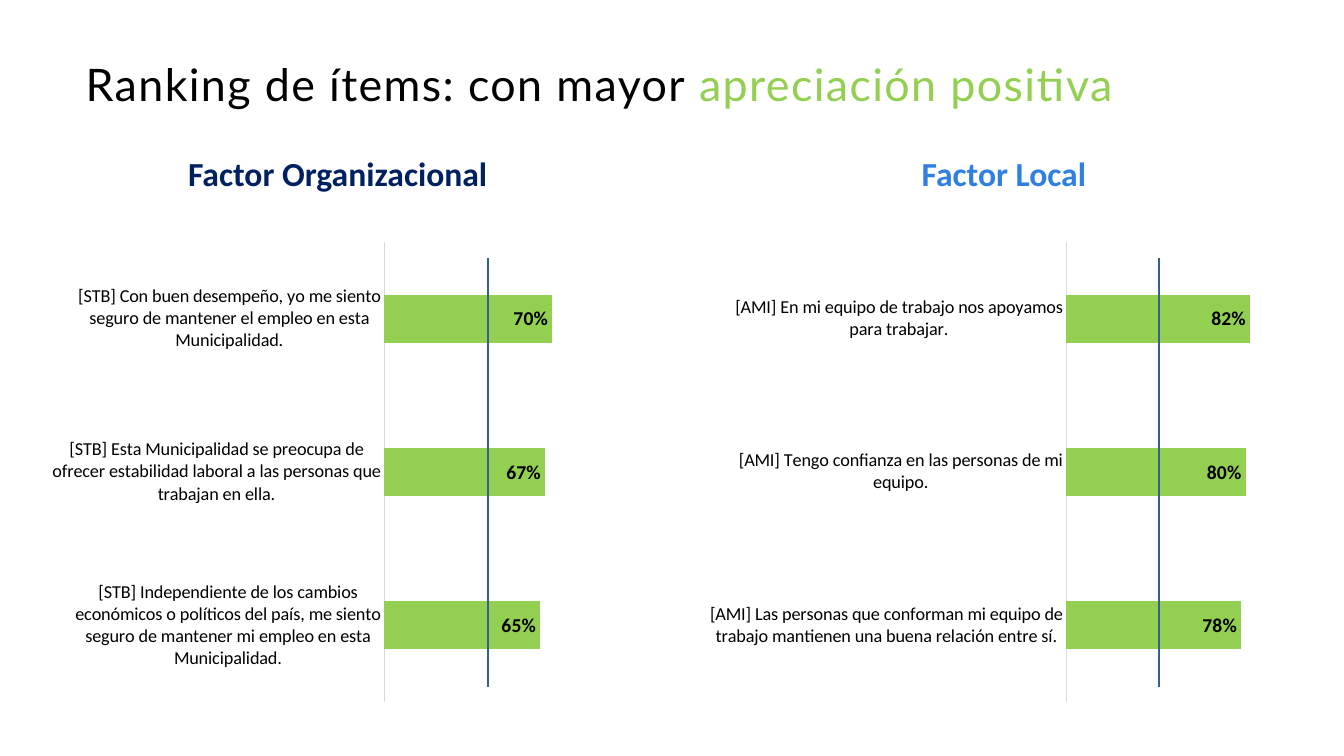
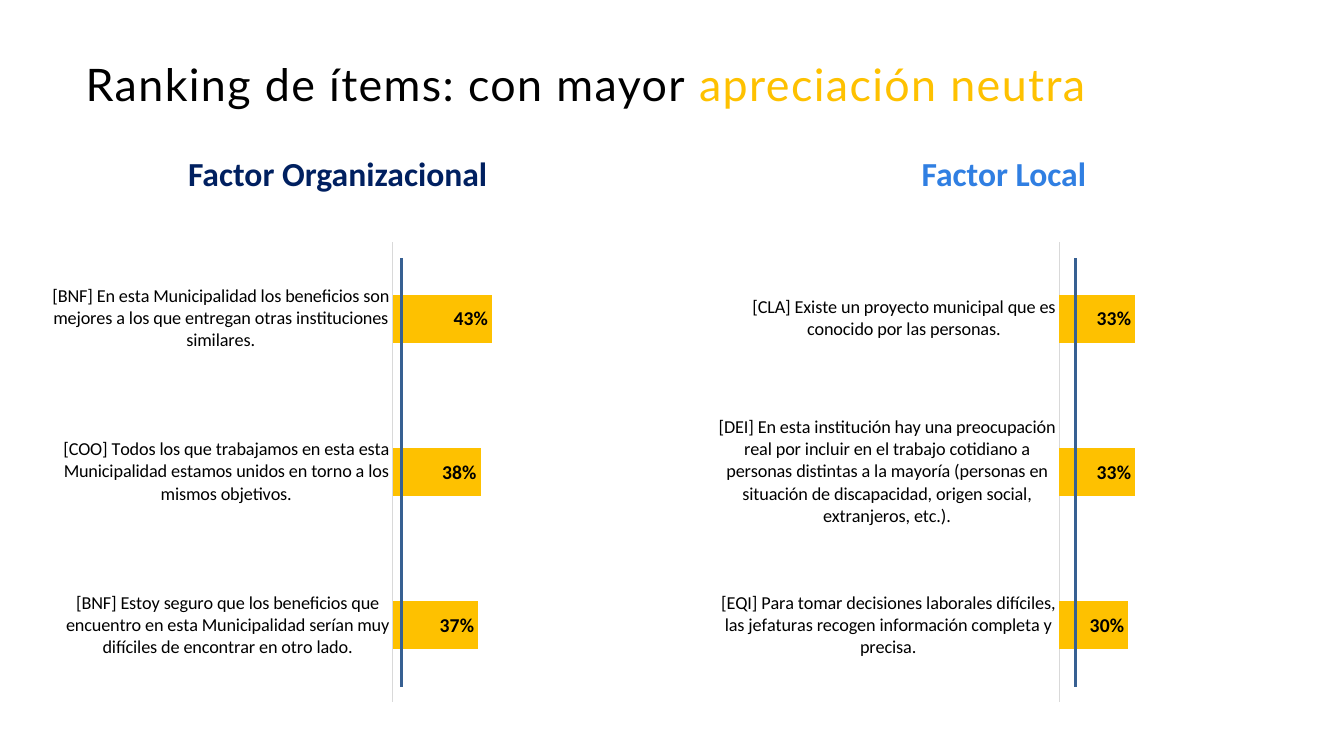
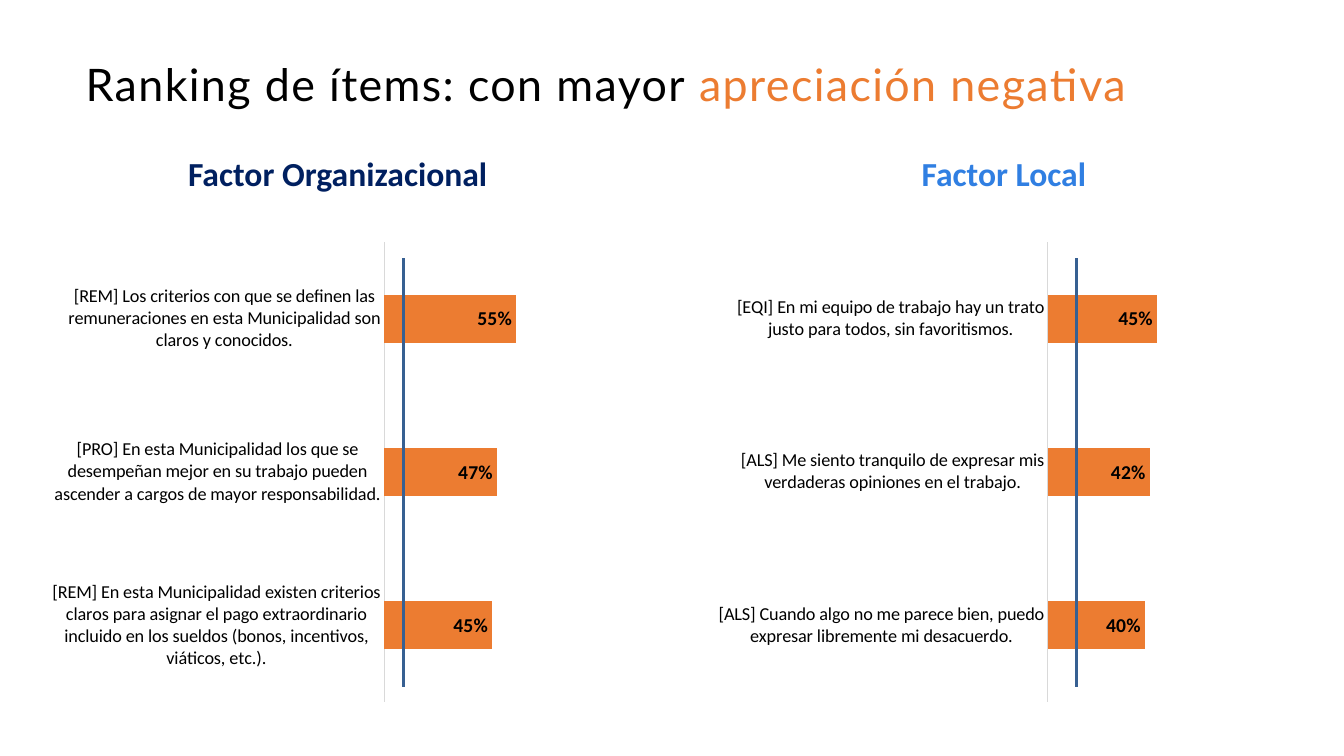
from lxml import etree
from pptx import Presentation
from pptx.chart.data import CategoryChartData
from pptx.dml.color import RGBColor
from pptx.enum.chart import XL_CHART_TYPE, XL_LABEL_POSITION, XL_TICK_MARK
from pptx.enum.shapes import MSO_CONNECTOR
from pptx.enum.text import MSO_ANCHOR, PP_ALIGN
from pptx.oxml.ns import qn
from pptx.util import Cm, Pt

BAR_CLUSTERED = XL_CHART_TYPE.BAR_CLUSTERED
INSIDE_END = XL_LABEL_POSITION.INSIDE_END
NO_TICK = XL_TICK_MARK.NONE
STRAIGHT = MSO_CONNECTOR.STRAIGHT
MIDDLE = MSO_ANCHOR.MIDDLE
CENTER = PP_ALIGN.CENTER

COLORS = {
    "text": "000000",
    "organizational": "002060",
    "local": "307FE2",
    "positive": "93D051",
    "neutral": "FEC100",
    "negative": "EC7C31",
    "axis": "D9D9D9",
    "reference": "376092",
}
TITLE_FONT = "Lato"
BODY_FONT = "Calibri"
TITLE_START = "Ranking de ítems: con mayor "

# Heading, colour and left edge of the two columns on every slide
COLUMNS = [
    ("Factor Organizacional", "organizational", 1.02),
    ("Factor Local", "local", 17.81),
]
COLUMN_TOP, COLUMN_WIDTH, COLUMN_HEIGHT = 4.01, 15.01, 13.92

# Per slide: title ending, colour, and for each column the offset of the
# reference line and the items from top to bottom
SLIDES = [
    ("apreciación positiva", "positive", [
        (11.28, [
            ("[STB] Con buen desempeño, yo me siento seguro de mantener el "
             "empleo en esta Municipalidad.", 0.70),
            ("[STB] Esta Municipalidad se preocupa de ofrecer estabilidad "
             "laboral a las personas que trabajan en ella.", 0.67),
            ("[STB] Independiente de los cambios económicos o políticos del "
             "país, me siento seguro de mantener mi empleo en esta "
             "Municipalidad.", 0.65),
        ]),
        (11.40, [
            ("[AMI] En mi equipo de trabajo nos apoyamos para trabajar.", 0.82),
            ("[AMI] Tengo confianza en las personas de mi equipo.", 0.80),
            ("[AMI] Las personas que conforman mi equipo de trabajo mantienen "
             "una buena relación entre sí.", 0.78),
        ]),
    ]),
    ("apreciación neutra", "neutral", [
        (9.09, [
            ("[BNF] En esta Municipalidad los beneficios son mejores a los que "
             "entregan otras instituciones similares.", 0.43),
            ("[COO] Todos los que trabajamos en esta esta Municipalidad estamos "
             "unidos en torno a los mismos objetivos.", 0.38),
            ("[BNF] Estoy seguro que los beneficios que encuentro en esta "
             "Municipalidad serían muy difíciles de encontrar en otro lado.",
             0.37),
        ]),
        (9.30, [
            ("[CLA] Existe un proyecto municipal que es conocido por las "
             "personas.", 0.33),
            ("[DEI] En esta institución hay una preocupación real por incluir "
             "en el trabajo cotidiano a personas distintas a la mayoría "
             "(personas en situación de discapacidad, origen social, "
             "extranjeros, etc.).", 0.33),
            ("[EQI] Para tomar decisiones laborales difíciles, las jefaturas "
             "recogen información completa y precisa.", 0.30),
        ]),
    ]),
    ("apreciación negativa", "negative", [
        (9.14, [
            ("[REM] Los criterios con que se definen las remuneraciones en esta "
             "Municipalidad son claros y conocidos.", 0.55),
            ("[PRO] En esta Municipalidad los que se desempeñan mejor en su "
             "trabajo pueden ascender a cargos de mayor responsabilidad.", 0.47),
            ("[REM] En esta Municipalidad existen criterios claros para asignar "
             "el pago extraordinario incluido en los sueldos (bonos, "
             "incentivos, viáticos, etc.).", 0.45),
        ]),
        (9.32, [
            ("[EQI] En mi equipo de trabajo hay un trato justo para todos, sin "
             "favoritismos.", 0.45),
            ("[ALS] Me siento tranquilo de expresar mis verdaderas opiniones en "
             "el trabajo.", 0.42),
            ("[ALS] Cuando algo no me parece bien, puedo expresar libremente mi "
             "desacuerdo.", 0.40),
        ]),
    ]),
]


def rgb(name):
    return RGBColor.from_string(COLORS[name])


def set_font(font, name, size, color=None, bold=False):
    font.name = name
    font.size = Pt(size)
    font.bold = bold
    if color:
        font.color.rgb = rgb(color)


def add_text_frame(slide, left, top, width, height):
    """Add a wrapping, vertically centred text box and return its frame."""
    shape = slide.shapes.add_textbox(Cm(left), Cm(top), Cm(width), Cm(height))
    frame = shape.text_frame
    frame.word_wrap = True
    frame.vertical_anchor = MIDDLE
    frame.paragraphs[0].line_spacing = 0.9
    return frame


def add_title(slide, ending, color):
    frame = add_text_frame(slide, 2.16, 0.86, 29.92, 2.69)
    frame.margin_left = frame.margin_right = 0
    frame.margin_top = frame.margin_bottom = 0
    paragraph = frame.paragraphs[0]
    set_font(paragraph.font, TITLE_FONT, 32)
    for text, run_color in ((TITLE_START, "text"), (ending, color)):
        run = paragraph.add_run()
        run.text = text
        run.font.color.rgb = rgb(run_color)
        run.font._element.set("spc", "100")


def add_heading(slide, text, color, left, top, width, height):
    paragraph = add_text_frame(slide, left, top, width, height).paragraphs[0]
    paragraph.text = text
    paragraph.alignment = CENTER
    set_font(paragraph.font, BODY_FONT, 24, color, bold=True)


def add_ranking_chart(slide, items, color, left, top, width, height):
    # Bar charts count their categories from the bottom
    labels, values = zip(*reversed(items))
    data = CategoryChartData(number_format="0%")
    data.categories = labels
    data.add_series("Series 1", values)
    chart = slide.shapes.add_chart(
        BAR_CLUSTERED, Cm(left), Cm(top), Cm(width), Cm(height), data).chart
    set_font(chart.font, BODY_FONT, 10)
    chart.has_title = False
    chart.has_legend = False

    # Axes
    category_axis = chart.category_axis
    category_axis.major_tick_mark = NO_TICK
    category_axis.minor_tick_mark = NO_TICK
    category_axis.format.line.color.rgb = rgb("axis")
    category_axis.format.line.width = Pt(0.75)
    set_font(category_axis.tick_labels.font, BODY_FONT, 13, "text")
    value_axis = chart.value_axis
    value_axis.minimum_scale = 0
    value_axis.maximum_scale = 1
    value_axis.has_major_gridlines = False
    value_axis.visible = False

    # Bars and their labels
    plot = chart.plots[0]
    plot.gap_width = 219
    plot.vary_by_categories = False
    fill = plot.series[0].format.fill
    fill.solid()
    fill.fore_color.rgb = rgb(color)
    plot.has_data_labels = True
    data_labels = plot.data_labels
    data_labels.show_value = True
    data_labels.number_format = "0%"
    data_labels.number_format_is_linked = False
    data_labels.position = INSIDE_END
    set_font(data_labels.font, BODY_FONT, 14, "text", bold=True)


def add_reference_line(slide, x, top, bottom):
    connector = slide.shapes.add_connector(
        STRAIGHT, Cm(x), Cm(bottom), Cm(x), Cm(top))
    connector.line.color.rgb = rgb("reference")
    connector.line.width = Pt(2)
    etree.SubElement(connector._element.spPr, qn("a:effectLst"))


def add_factor_column(slide, heading, heading_color, bar_color, line_offset,
                      items, left, top, width, height):
    """Heading above a bar chart that a vertical reference line crosses."""
    bottom = top + height
    chart_top = top + 1.86
    add_heading(slide, heading, heading_color, left + 1.09, top, 12.8, 0.84)
    add_ranking_chart(slide, items, bar_color,
                      left, chart_top, width, bottom - chart_top)
    add_reference_line(slide, left + line_offset,
                       chart_top + 0.63, bottom - 0.63)


def add_ranking_slide(presentation, ending, color, rankings):
    slide = presentation.slides.add_slide(presentation.slide_layouts[6])
    add_title(slide, ending, color)
    for column, (line_offset, items) in zip(COLUMNS, rankings):
        heading, heading_color, left = column
        add_factor_column(slide, heading, heading_color, color, line_offset,
                          items, left, COLUMN_TOP, COLUMN_WIDTH, COLUMN_HEIGHT)


def main():
    presentation = Presentation()
    presentation.slide_width = Cm(33.87)
    presentation.slide_height = Cm(19.05)
    for ending, color, rankings in SLIDES:
        add_ranking_slide(presentation, ending, color, rankings)
    presentation.save("out.pptx")


if __name__ == "__main__":
    main()
